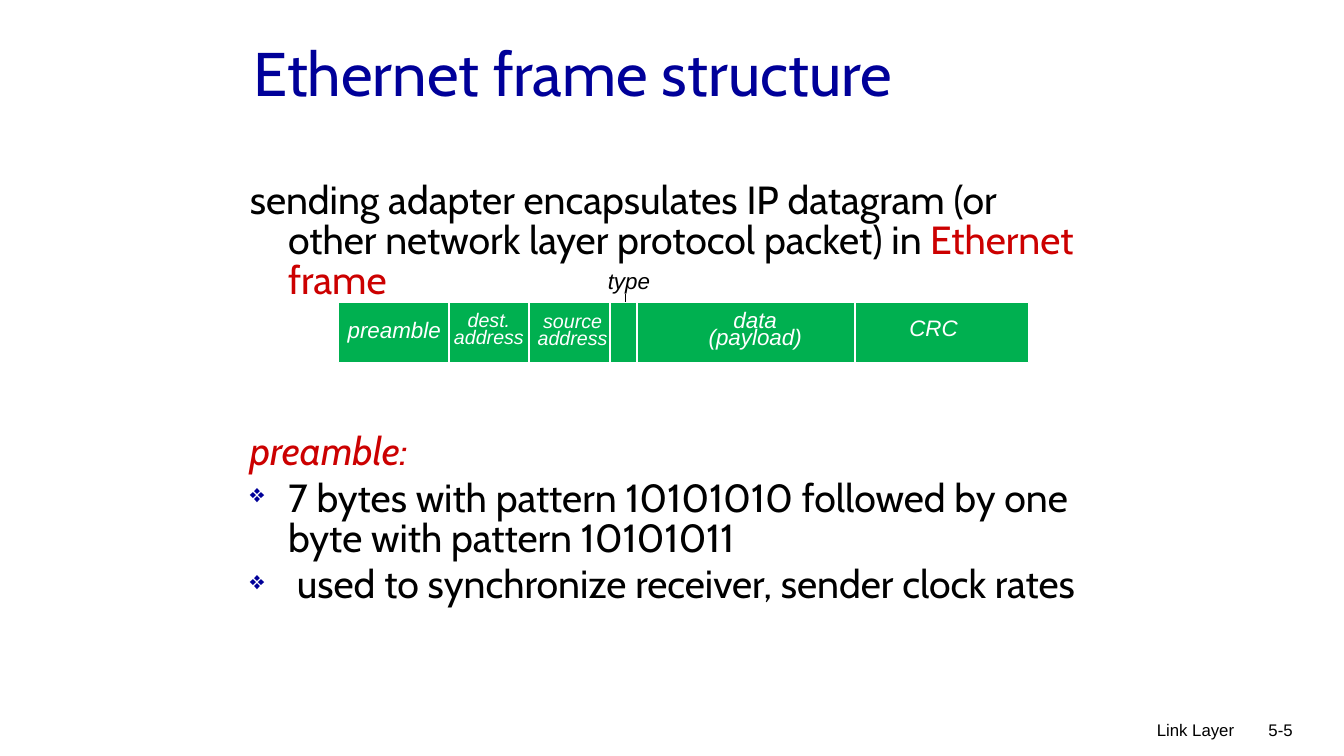
"""Build the slide on Ethernet frame structure."""
from dataclasses import dataclass

from lxml.etree import SubElement as Sub
from pptx import Presentation as Deck
from pptx.dml.color import RGBColor as Rgb
from pptx.enum.shapes import MSO_CONNECTOR as Link, MSO_SHAPE as Form
from pptx.enum.text import MSO_ANCHOR as Anchor, PP_ALIGN as Align
from pptx.oxml.ns import qn
from pptx.util import Inches, Pt


@dataclass(frozen=True)
class Theme:
    """Hold the fonts, colours and type sizes."""
    head: str = "Cabin"
    plain: str = "Arial"
    ink: str = "000000"
    blue: str = "000099"
    red: str = "CC0000"
    green: str = "00B050"
    white: str = "FFFFFF"
    title: int = 44
    body: int = 28
    label: int = 16
    small: int = 14
    foot: int = 12


LOOK = Theme()
COLS, ROWS = 133.3, 75
FIELDS = [
    (["preamble"], LOOK.label, 5.5, 1.9),
    (["dest.", "address"], LOOK.small, 14.9, 0.7),
    (["source", "address"], LOOK.small, 23.2, 0.8),
    (["data", "(payload)"], LOOK.label, 41.3, 0.9),
    (["CRC"], LOOK.label, 59, 1.7),
]
EDGES = [10.9, 18.9, 26.9, 29.6, 51.2]


def cell(*counts):
    """Turn counts of grid cells into lengths."""
    return [Inches(n / 10) for n in counts]


def add_text(shapes, box, paras, align=Align.LEFT, anchor=Anchor.TOP):
    """Add a text box of paragraphs, each a list of runs."""
    frame = shapes.add_textbox(*cell(*box)).text_frame
    frame.word_wrap = True
    frame.vertical_anchor = anchor
    for i, runs in enumerate(paras):
        para = frame.paragraphs[0] if i == 0 else frame.add_paragraph()
        para.alignment = align
        for words, face, size, tint, slant in runs:
            run = para.add_run()
            run.text = words
            font = run.font
            font.name, font.size, font.italic = face, Pt(size), slant
            font.color.rgb = Rgb.from_string(tint)
    return frame.paragraphs


def add_line(shapes, ends, tint, width):
    """Add a straight line without a shadow."""
    line = shapes.add_connector(Link.STRAIGHT, *cell(*ends))
    line.line.color.rgb = Rgb.from_string(tint)
    line.line.width = Pt(width)
    Sub(line._element.spPr, qn("a:effectLst"))


def add_mark(para):
    """Give a paragraph its blue diamond bullet."""
    props = para._p.get_or_add_pPr()
    tint = Sub(props, qn("a:buClr"))
    Sub(tint, qn("a:srgbClr"), val=LOOK.blue)
    Sub(props, qn("a:buSzPct"), val="65000")
    Sub(props, qn("a:buChar"), char="\u2756")


def add_title(shapes, box):
    """Place the slide title."""
    run = ("Ethernet frame structure", LOOK.head, LOOK.title, LOOK.blue, False)
    add_text(shapes, box, [[run]], anchor=Anchor.MIDDLE)


def add_body(shapes, box, paras, marks=()):
    """Place body text with a hanging indent and bullets where marked."""
    runs = [[(words, LOOK.head, LOOK.body, tint, slant)
             for words, tint, slant in para] for para in paras]
    for i, para in enumerate(add_text(shapes, box, runs)):
        para.line_spacing = 0.85
        para.space_before = Pt(4.8)
        props = para._p.get_or_add_pPr()
        props.set("marL", str(Inches(0.38)))
        props.set("indent", str(-Inches(0.38)))
        if i in marks:
            add_mark(para)


def add_frame(shapes, box):
    """Draw the frame bar with its fields and labels."""
    left, top, width, height = box
    tick = left + 28.4
    add_line(shapes, (tick, top - 0.8, tick, top + 1.4), LOOK.ink, 0.75)
    bar = shapes.add_shape(Form.RECTANGLE, *cell(*box))
    bar.shadow.inherit = False
    bar.fill.solid()
    bar.fill.fore_color.rgb = Rgb.from_string(LOOK.green)
    bar.line.color.rgb = Rgb.from_string(LOOK.white)
    bar.line.width = Pt(0.75)
    for edge in EDGES:
        x = left + edge
        add_line(shapes, (x, top, x, top + height), LOOK.white, 1.5)
    span = 12
    for words, size, mid, drop in FIELDS:
        place = (left + mid - span / 2, top + drop, span, 4.5)
        runs = [[(word, LOOK.plain, size, LOOK.white, True)] for word in words]
        for para in add_text(shapes, place, runs, Align.CENTER):
            para.line_spacing = Pt(12)
    run = ("type", LOOK.plain, LOOK.label, LOOK.ink, True)
    add_text(shapes, (left + 25.7, top - 4, 8.4, 3.7), [[run]])


def add_foot(shapes, box):
    """Place the chapter name and page number."""
    left, top, width, height = box
    page = 9.9
    for words, end, span in (("Link Layer", width - 5.8, width - 5.8),
                             ("5-5", width, page)):
        run = (words, LOOK.plain, LOOK.foot, LOOK.ink, False)
        place = (left + end - span, top, span, height)
        add_text(shapes, place, [[run]], Align.RIGHT)


def main():
    """Build and save the deck."""
    deck = Deck()
    deck.slide_width, deck.slide_height = cell(COLS, ROWS)
    shapes = deck.slides.add_slide(deck.slide_layouts[6]).shapes
    add_foot(shapes, (81.2, 70.9, 48, 5 - 0.9))
    add_title(shapes, (24.2, 3.8, 85, 6.7))
    add_body(shapes, (23.8, 17.6, 85, 13), [[
        ("sending adapter encapsulates IP datagram (or other network "
         "layer protocol packet) in ", LOOK.ink, False),
        ("Ethernet frame", LOOK.red, False)]])
    add_body(shapes, (23.8, 42.5, 85, 22.6), [
        [("preamble:", LOOK.red, True)],
        [("7 bytes with pattern 10101010 followed by one byte with "
          "pattern 10101011", LOOK.ink, False)],
        [(" used to synchronize receiver, sender clock rates",
          LOOK.ink, False)]], marks=(1, 2))
    add_frame(shapes.add_group_shape().shapes, (33.6, 30, 68.4, 6))
    deck.save("out.pptx")


main()
